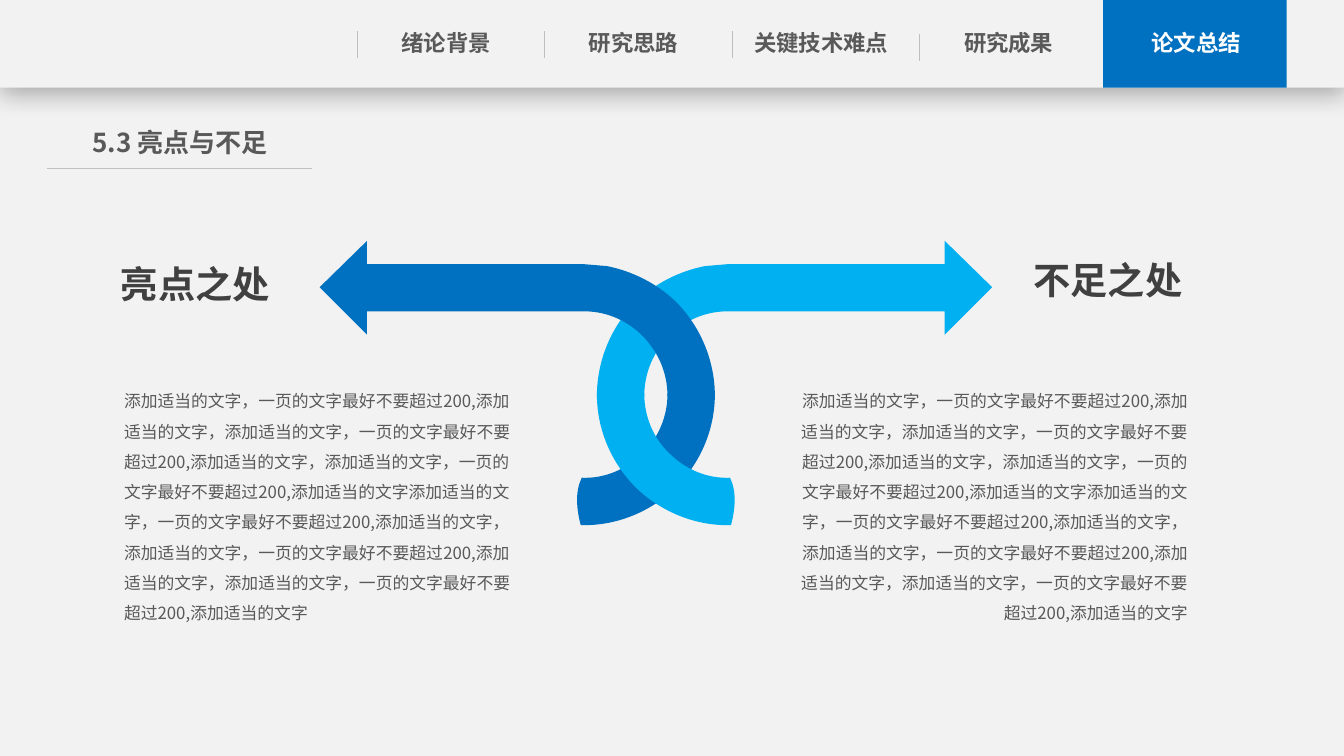
from lxml.etree import SubElement
from pptx import Presentation
from pptx.dml.color import RGBColor
from pptx.enum.shapes import MSO_CONNECTOR, MSO_SHAPE
from pptx.enum.text import MSO_AUTO_SIZE, PP_ALIGN
from pptx.oxml.ns import qn
from pptx.oxml.xmlchemy import OxmlElement
from pptx.util import Pt

PX = 9144
PAPER, BLUE, SKY = "F2F2F2", "0070C0", "00B0F0"
GREY, DARK, RULE = "595959", "404040", "BFBFBF"

ARROW = [
    [(937, 239)], [(984, 285)], [(937, 332)], [(937, 309)], [(724, 309)],
    [(702, 308), (680, 317), (664, 333)],
    [(648, 349), (639, 370), (639, 393)],
    [(592, 393)],
    [(592, 358), (606, 324), (631, 299)],
    [(650, 281), (674, 269), (699, 264)],
    [(723, 262)], [(937, 262)],
]
TAIL = [
    [(592, 391)],
    [(592, 426), (606, 459), (631, 484)],
    [(656, 508), (690, 522), (725, 521)],
    [(729, 506), (731, 488), (724, 474)],
    [(702, 475), (680, 466), (664, 450)],
    [(648, 435), (639, 413), (639, 391)],
]


def colour(value):
    return RGBColor.from_string(value)


def mirror(steps):
    return [[(1301 - x, y) for x, y in step] for step in steps]


class Page:
    font = "Noto Sans CJK SC"

    def __init__(self, deck):
        self.shapes = deck.slides.add_slide(deck.slide_layouts[6]).shapes

    def paint(self, shape, fill):
        shape.shadow.inherit = False
        shape.fill.solid()
        shape.fill.fore_color.rgb = colour(fill)
        shape.line.fill.background()

    def bar(self, x, y, w, h, fill, shadow=False):
        shape = self.shapes.add_shape(MSO_SHAPE.RECTANGLE, x * PX, y * PX, w * PX, h * PX)
        self.paint(shape, fill)
        if shadow:
            effects = shape._element.spPr.find(qn("a:effectLst"))
            outer = SubElement(effects, qn("a:outerShdw"), blurRad=str(Pt(18)),
                               dist=str(Pt(4)), dir="5400000", algn="t", rotWithShape="0")
            black = SubElement(outer, qn("a:srgbClr"), val="000000")
            SubElement(black, qn("a:alpha"), val="29000")

    def rule(self, x1, y1, x2, y2):
        line = self.shapes.add_connector(MSO_CONNECTOR.STRAIGHT,
                                         x1 * PX, y1 * PX, x2 * PX, y2 * PX)
        line.line.color.rgb = colour(RULE)
        line.line.width = Pt(0.5)
        SubElement(line._element.spPr, qn("a:effectLst"))

    def outline(self, steps, fill):
        start, *corners = [point for step in steps for point in step]
        builder = self.shapes.build_freeform(*start, scale=PX)
        builder.add_line_segments(corners)
        shape = builder.convert_to_shape()
        segments = iter(list(shape._element.iter(qn("a:lnTo"))))
        for step in steps[1:]:
            replaced = [next(segments) for _ in step]
            if len(step) == 3:
                curve = OxmlElement("a:cubicBezTo")
                replaced[0].addprevious(curve)
                for segment in replaced:
                    curve.append(segment[0])
                    segment.getparent().remove(segment)
        self.paint(shape, fill)

    def text(self, x, y, w, h, words, size, ink, bold=True, align=PP_ALIGN.LEFT,
             inset=(0, 5), wrap=True, spacing=None):
        frame = self.shapes.add_textbox(x * PX, y * PX, w * PX, h * PX).text_frame
        frame.word_wrap = wrap
        frame.auto_size = MSO_AUTO_SIZE.SHAPE_TO_FIT_TEXT
        frame.margin_left = frame.margin_right = inset[0] * PX
        frame.margin_top = frame.margin_bottom = inset[1] * PX
        paragraph = frame.paragraphs[0]
        paragraph.text = words
        paragraph.alignment = align
        if spacing:
            paragraph.line_spacing = spacing
        font = paragraph.font
        font.name, font.size, font.bold = self.font, Pt(size), bold
        font.color.rgb = colour(ink)
        SubElement(font._element, qn("a:ea"), typeface=self.font)


def draw_header(page):
    page.bar(0, 0, 1333, 87, PAPER, shadow=True)
    page.bar(1094, 0, 182, 87, BLUE)
    chapters = ["绪论背景", "研究思路", "关键技术难点", "研究成果", "论文总结"]
    for i, chapter in enumerate(chapters):
        ink = "FFFFFF" if chapter == chapters[-1] else GREY
        page.text(369 + 186 * i, 24, 147, 38, chapter, 16, ink, align=PP_ALIGN.CENTER)
    page.rule(47, 167, 309, 167)
    page.text(75, 121, 207, 42, "5.3 亮点与不足", 18.6, GREY, align=PP_ALIGN.CENTER)
    for i, top in enumerate((31, 31, 31, 34)):
        page.rule(354 + 186 * i, top, 354 + 186 * i, top + 27)


def draw_arrows(page):
    page.outline(ARROW, SKY)
    page.outline(mirror(ARROW), BLUE)
    page.outline(mirror(TAIL), BLUE)
    page.outline(TAIL, SKY)


def draw_columns(page):
    clause = "添加适当的文字，一页的文字最好不要超过200,"
    lead = "添加适当的文字，"
    body = (clause + (lead + clause) * 2 + "添加适当的文字" + clause
            + (lead + clause) * 2 + "添加适当的文字")
    for x, width, align in ((775, 416, PP_ALIGN.RIGHT), (110, 412, PP_ALIGN.LEFT)):
        page.text(x, 372, width, 255, body, 12, GREY, bold=False, align=align,
                  inset=(13, 6), spacing=1.5)
    for x, y, heading in ((110, 254, "亮点之处"), (1015, 250, "不足之处")):
        page.text(x, y, 170, 55, heading, 26.6, DARK, inset=(10, 5), wrap=False)


def main():
    deck = Presentation()
    deck.slide_width, deck.slide_height = 1333 * PX, 750 * PX
    page = Page(deck)
    page.bar(0, 0, 1333, 750, PAPER)
    draw_header(page)
    draw_arrows(page)
    draw_columns(page)
    deck.save("out.pptx")


if __name__ == "__main__":
    main()
